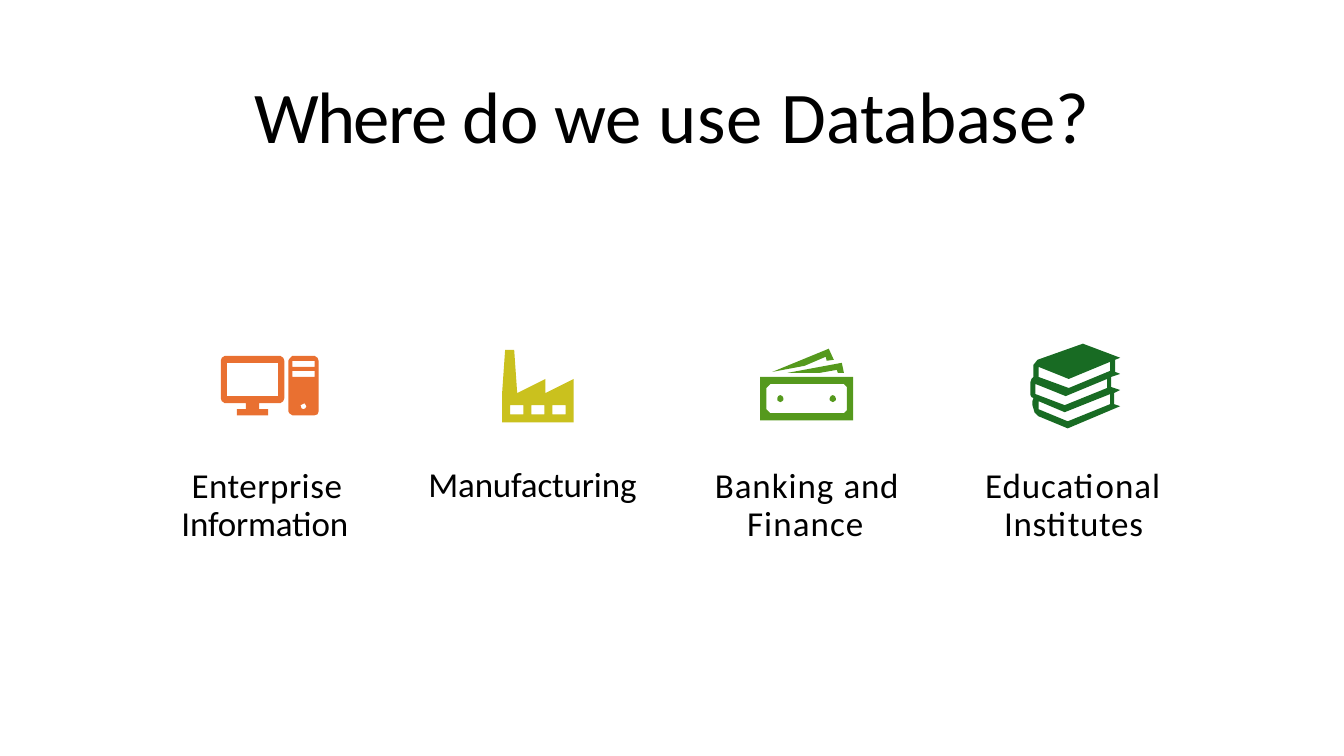
from dataclasses import dataclass

import pptx
import pptx.dml.color
import pptx.enum.text
import pptx.util

PX = 9144  # EMU in one px, 100 px to the inch

Point = tuple[int, int]
Outline = list[Point]


@dataclass(frozen=True)
class Theme:
    font: str = "Calibri"
    ink: str = "000000"
    title_size: int = 52
    label_size: int = 25
    label_leading: float = 27.5
    computer: str = "E97031"
    factory: str = "CAC11E"
    money: str = "55991D"
    books: str = "186B23"


@dataclass(frozen=True)
class Caption:
    """One paragraph: its box, indents and (words, letter spacing) spans."""
    box: tuple[int, int, int, int]
    inset_top: int
    indent: tuple[int, int]
    spans: list[tuple[str, float]]
    space_before: float = 4
    leading: float | None = None


@dataclass(frozen=True)
class Icon:
    """Shapes made of outlines; an outline inside another one is a hole."""
    color: str
    shapes: list[list[Outline]]


THEME = Theme()


def rect(left: int, top: int, width: int, height: int) -> Outline:
    right, bottom = left + width, top + height
    return [(left, top), (right, top), (right, bottom), (left, bottom)]


def dot(left: int, top: int) -> Outline:
    ring = [(0, 3), (1, 1), (3, 0), (5, 1), (6, 3), (6, 5), (5, 6), (3, 7), (1, 6), (0, 5)]
    return [(left + x, top + y) for x, y in ring]


# Icon outlines
MONITOR = [(223, 353), (278, 353), (281, 355), (282, 358), (282, 395), (281, 398),
           (278, 400), (257, 400), (257, 406), (266, 406), (266, 412), (235, 412),
           (235, 406), (244, 406), (244, 400), (223, 400), (220, 398), (219, 395),
           (219, 358), (220, 355)]
TOWER = [(290, 353), (312, 353), (315, 355), (316, 358), (316, 408), (315, 411),
         (312, 412), (290, 412), (287, 410), (286, 408), (286, 358), (287, 356)]
POWER_BUTTON = [(298, 402), (302, 400), (304, 403), (303, 405), (301, 406), (299, 405)]
FACTORY = [(501, 347), (510, 347), (513, 390), (541, 376), (541, 390), (569, 376),
           (569, 419), (498, 419), (498, 390)]
NOTE_INSIDE = [(764, 381), (837, 381), (840, 384), (840, 407), (837, 410), (764, 410),
               (760, 406), (760, 385)]
BACK_NOTE = [(827, 357), (822, 346), (766, 369), (798, 363), (819, 354), (820, 358)]
MIDDLE_NOTE = [(837, 370), (835, 360), (781, 370), (813, 370), (830, 367), (831, 370)]
BOOK_STACK = [(1074, 341), (1029, 357), (1025, 362), (1025, 374), (1023, 376), (1022, 379),
              (1022, 392), (1023, 394), (1025, 395), (1024, 398), (1024, 402), (1026, 409),
              (1030, 413), (1059, 425), (1111, 403), (1105, 401), (1105, 390), (1111, 387),
              (1102, 384), (1102, 374), (1111, 371), (1106, 369), (1106, 357), (1111, 355)]
BOOK_PAGES = [
    [(1030, 364), (1060, 376), (1101, 359), (1101, 368), (1060, 385), (1030, 374)],
    [(1027, 381), (1057, 393), (1098, 376), (1098, 385), (1056, 402), (1027, 391)],
    [(1030, 398), (1056, 409), (1101, 391), (1101, 401), (1059, 418), (1030, 406)],
]

ICONS = [
    Icon(THEME.computer, [[MONITOR, rect(225, 360, 51, 33), TOWER, POWER_BUTTON,
                           *(rect(290, top, 22, 6) for top in (358, 368))]]),
    Icon(THEME.factory, [[FACTORY, *(rect(506 + 21 * i, 402, 13, 9) for i in range(3))]]),
    Icon(THEME.money, [[rect(754, 374, 92, 43), NOTE_INSIDE],
                       [dot(771, 392), dot(823, 392), BACK_NOTE, MIDDLE_NOTE]]),
    Icon(THEME.books, [[BOOK_STACK, *BOOK_PAGES]]),
]

TITLE = Caption((100, 37, 1011, 136), 33, (152, 0),
                [("Where ", -1.1), ("do ", -0.5), ("we ", 0), ("use ", 0.7),
                 ("Database?", -0.1)], space_before=0.9)

LABELS = [
    Caption((179, 458, 177, 83), 5, (1, 10),
            [("Enterprise ", 0.4), ("Information", -0.1)], leading=THEME.label_leading),
    Caption((424, 458, 220, 44), 1, (1, 0), [("Manufacturing", -0.1)], space_before=0.9),
    Caption((707, 458, 187, 83), 5, (34, -32),
            [("Banking ", 0.7), ("and ", 0.6), ("Finance", 0.8)],
            leading=THEME.label_leading),
    Caption((975, 458, 182, 83), 5, (21, -19),
            [("Educational ", 0.7), ("Institutes", 0.5)], leading=THEME.label_leading),
]


def apply(target: object, values: dict[str, object]) -> None:
    for name, value in values.items():
        setattr(target, name, value)


def draw_caption(page: pptx.slide.Slide, caption: Caption, size: int) -> None:
    box = page.shapes.add_textbox(*(length * PX for length in caption.box))
    apply(box.text_frame, {
        "word_wrap": True,
        "auto_size": pptx.enum.text.MSO_AUTO_SIZE.SHAPE_TO_FIT_TEXT,
        "margin_left": 0, "margin_right": 0, "margin_bottom": 0,
        "margin_top": caption.inset_top * PX,
    })
    para = box.text_frame.paragraphs[0]
    para.space_before = pptx.util.Pt(caption.space_before)
    if caption.leading:
        para.line_spacing = pptx.util.Pt(caption.leading)
    for name, length in zip(("marL", "indent"), caption.indent):
        para._p.get_or_add_pPr().set(name, str(length * PX))
    for words, spacing in caption.spans:
        span = para.add_run()
        span.text = words
        apply(span.font, {"name": THEME.font, "size": pptx.util.Pt(size)})
        span.font.color.rgb = pptx.dml.color.RGBColor.from_string(THEME.ink)
        span._r.get_or_add_rPr().set("spc", str(round(spacing * 100)))


def draw_icon(page: pptx.slide.Slide, icon: Icon) -> None:
    grouped = len(icon.shapes) > 1
    holder = page.shapes.add_group_shape().shapes if grouped else page.shapes
    for outlines in icon.shapes:
        builder = holder.build_freeform(*outlines[0][0], scale=PX)
        for outline in outlines:
            builder.move_to(*outline[0])
            builder.add_line_segments(outline[1:], close=True)
        shape = builder.convert_to_shape()
        shape.shadow.inherit = False
        shape.fill.solid()
        shape.fill.fore_color.rgb = pptx.dml.color.RGBColor.from_string(icon.color)
        shape.line.fill.background()


def main() -> None:
    deck = pptx.Presentation()
    apply(deck, {"slide_width": 1333 * PX, "slide_height": 750 * PX})
    page = deck.slides.add_slide(deck.slide_layouts[6])

    # Heading
    draw_caption(page, TITLE, THEME.title_size)

    # Four places that use databases
    for icon, label in zip(ICONS, LABELS):
        draw_icon(page, icon)
        draw_caption(page, label, THEME.label_size)

    deck.save("out.pptx")


if __name__ == "__main__":
    main()
